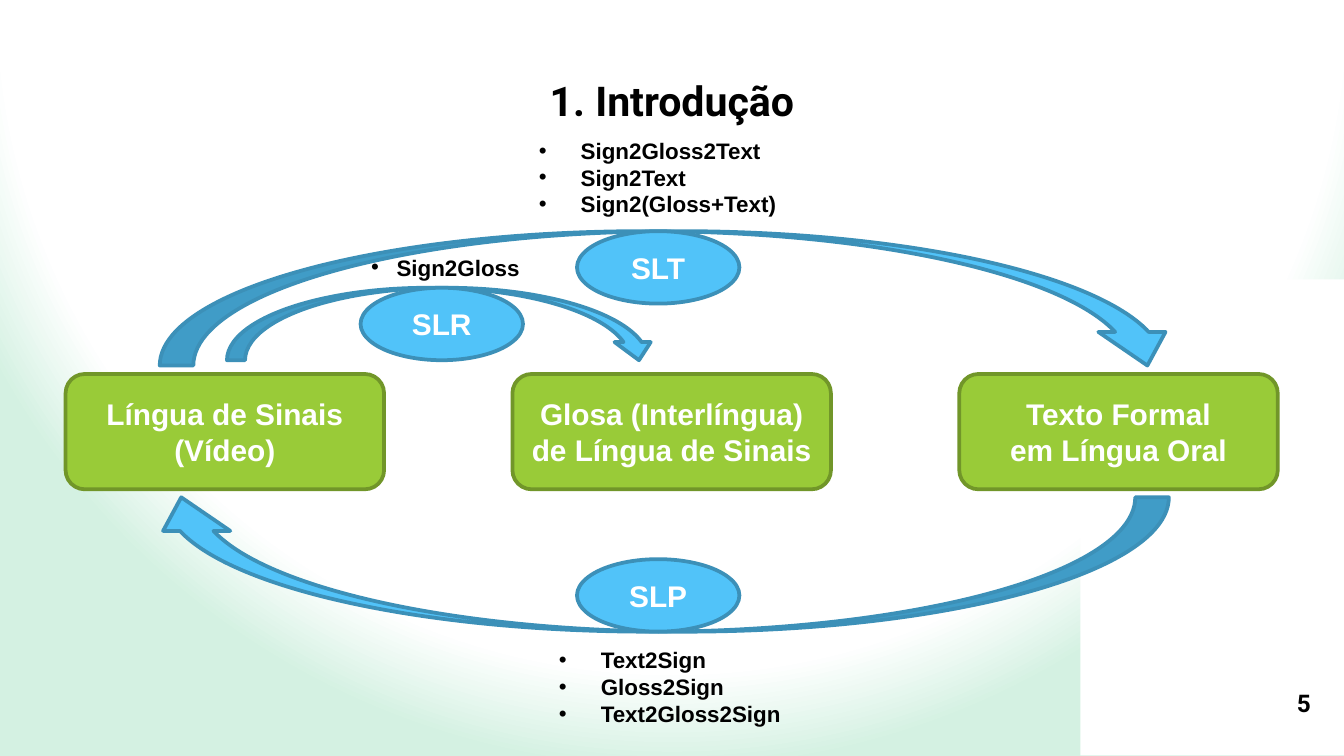
from lxml.etree import SubElement
from pptx import Presentation
from pptx.dml.color import RGBColor
from pptx.enum.shapes import MSO_SHAPE
from pptx.enum.text import MSO_ANCHOR, MSO_AUTO_SIZE, PP_ALIGN
from pptx.oxml import parse_xml
from pptx.oxml.ns import nsdecls, qn
from pptx.util import Cm, Pt

HUES = {
    "ink": "000000", "white": "FFFFFF", "mint": "D4F1E2",
    "green": "99CB38", "moss": "719629", "sky": "51C3F9", "blue": "3C90B8",
}


def hue(name):
    return RGBColor.from_string(HUES[name])


def add_run(para, text, size, ink="ink", face="Arial"):
    run = para.add_run()
    run.text = text
    font = run.font
    font.name, font.size, font.bold = face, Pt(size), True
    font.color.rgb = hue(ink)


def set_box(shape, box):
    shape.left, shape.top, shape.width, shape.height = map(Cm, box)


def set_pad(frame, pad):
    frame.margin_left = frame.margin_right = Cm(pad)
    frame.margin_top = frame.margin_bottom = Cm(pad)


def add_form(shapes, kind, box, fill, edge=None):
    form = shapes.add_shape(kind, *map(Cm, box))
    form.shadow.inherit = False
    form.fill.solid()
    form.fill.fore_color.rgb = hue(fill)
    if edge:
        form.line.color.rgb = hue(edge)
        form.line.width = Pt(2)
    else:
        form.line.fill.background()
    return form


def add_label(form, lines):
    frame = form.text_frame
    set_pad(frame, 0.1)
    frame.word_wrap = True
    frame.vertical_anchor = MSO_ANCHOR.MIDDLE
    para = frame.paragraphs[0]
    para.alignment = PP_ALIGN.CENTER
    for i, line in enumerate(lines):
        if i:
            para.add_line_break()
        add_run(para, line, 16, "white")


def draw_back(slide):
    """Radial glow centred above the slide, and the plain side panel."""
    stops = "".join(
        f'<a:gs pos="{pos}"><a:srgbClr val="{HUES[name]}"/></a:gs>'
        for pos, name in ((0, "white"), (87000, "white"), (100000, "mint")))
    glow = parse_xml(
        f'<a:gradFill {nsdecls("a")} rotWithShape="1"><a:gsLst>{stops}</a:gsLst>'
        '<a:path path="circle"><a:fillToRect l="50000" t="-80000" '
        'r="50000" b="180000"/></a:path></a:gradFill>')
    fill = slide.background.fill
    fill.solid()
    old = slide.element.find(".//" + qn("p:bgPr")).find(qn("a:solidFill"))
    old.getparent().replace(old, glow)
    add_form(slide.shapes, MSO_SHAPE.RECTANGLE, (20.42, 5.28, 4.98, 9), "white")


def set_title(title, box, text):
    set_box(title, box)
    frame = title.text_frame
    set_pad(frame, 0)
    frame.word_wrap = True
    frame.auto_size = MSO_AUTO_SIZE.NONE
    frame.vertical_anchor = MSO_ANCHOR.BOTTOM
    para = frame.paragraphs[0]
    para.alignment = PP_ALIGN.CENTER
    para.line_spacing = 0.9
    add_run(para, text, 22, face="Roboto")


def set_list(holder, box, indent, items):
    set_box(holder, box)
    frame = holder.text_frame
    frame.word_wrap = False
    frame.auto_size = MSO_AUTO_SIZE.SHAPE_TO_FIT_TEXT
    frame.vertical_anchor = MSO_ANCHOR.TOP
    for i, item in enumerate(items):
        para = frame.add_paragraph() if i else frame.paragraphs[0]
        para.alignment = PP_ALIGN.LEFT
        para.line_spacing = 1.0
        para.space_before = para.space_after = Pt(0)
        props = para._p.get_or_add_pPr()
        props.set("marL", str(Cm(indent)))
        props.set("indent", str(-Cm(indent)))
        tint = SubElement(props, qn("a:buClr"))
        SubElement(tint, qn("a:srgbClr"), val=HUES["ink"])
        SubElement(props, qn("a:buFont"), typeface="Arial")
        SubElement(props, qn("a:buChar"), char="•")
        add_run(para, item, 12)


def draw_cards(shapes, box, cards):
    """Equal cards spread across the box."""
    left, top, width, height = box
    wide = 6.02
    step = (width - wide) / (len(cards) - 1)
    for i, lines in enumerate(cards):
        card = add_form(shapes, MSO_SHAPE.ROUNDED_RECTANGLE,
                        (left + i * step, top, wide, height), "green", "moss")
        add_label(card, lines)


def draw_flow(shapes, box, mid, name, back=False):
    """Curved arrow filling the box, with its oval on the crest at mid."""
    left, top, width, height = box
    wide, high = 3.07, 1.37
    arrow = add_form(shapes, MSO_SHAPE.CURVED_DOWN_ARROW, box, "sky", "blue")
    arrow.rotation = 180 if back else 0
    crest = top + height - high if back else top
    oval = add_form(shapes, MSO_SHAPE.OVAL,
                    (mid - wide / 2, crest, wide, high), "sky", "blue")
    add_label(oval, [name])


def draw_page(slide, box, text):
    frame = slide.shapes.add_textbox(*map(Cm, box)).text_frame
    set_pad(frame, 0)
    frame.word_wrap = True
    frame.vertical_anchor = MSO_ANCHOR.MIDDLE
    para = frame.paragraphs[0]
    para.alignment = PP_ALIGN.CENTER
    add_run(para, text, 13, face="Roboto")


def main():
    deck = Presentation()
    deck.slide_width, deck.slide_height = Cm(25.4), Cm(14.29)
    slide = deck.slides.add_slide(deck.slide_layouts[4])
    draw_back(slide)

    # Title and page number
    set_title(slide.shapes.title, (3.45, 1.27, 18.5, 1.1), "1. Introdução")
    draw_page(slide, (23.88, 12.27, 1.52, 2.03), "5")

    # Diagram
    shapes = slide.shapes.add_group_shape().shapes
    draw_cards(shapes, (1.24, 7.07, 22.91, 2.18), [
        ["Língua de Sinais", "(Vídeo)"],
        ["Glosa (Interlíngua)", "de Língua de Sinais"],
        ["Texto Formal", "em Língua Oral"],
    ])
    draw_flow(shapes, (4.29, 5.44, 8.13, 1.37), 8.35, "SLR")
    draw_flow(shapes, (3.02, 4.37, 19.3, 2.54), 12.44, "SLT")
    draw_flow(shapes, (2.79, 9.4, 19.3, 2.54), 12.44, "SLP", back=True)

    # Lists of approaches
    lists = [
        ((6.76, 4.67, 3.35, 0.76), 0.48, ["Sign2Gloss"]),
        ((9.93, 2.46, 5.08, 1.8), 0.79,
         ["Sign2Gloss2Text", "Sign2Text", "Sign2(Gloss+Text)"]),
        ((10.31, 12.09, 4.78, 1.8), 0.79,
         ["Text2Sign", "Gloss2Sign", "Text2Gloss2Sign"]),
    ]
    bodies = list(slide.placeholders)[1:]
    for holder, (box, indent, items) in zip(bodies, lists):
        set_list(holder, box, indent, items)
    for spare in bodies[len(lists):]:
        spare.element.getparent().remove(spare.element)

    deck.save("out.pptx")


if __name__ == "__main__":
    main()
